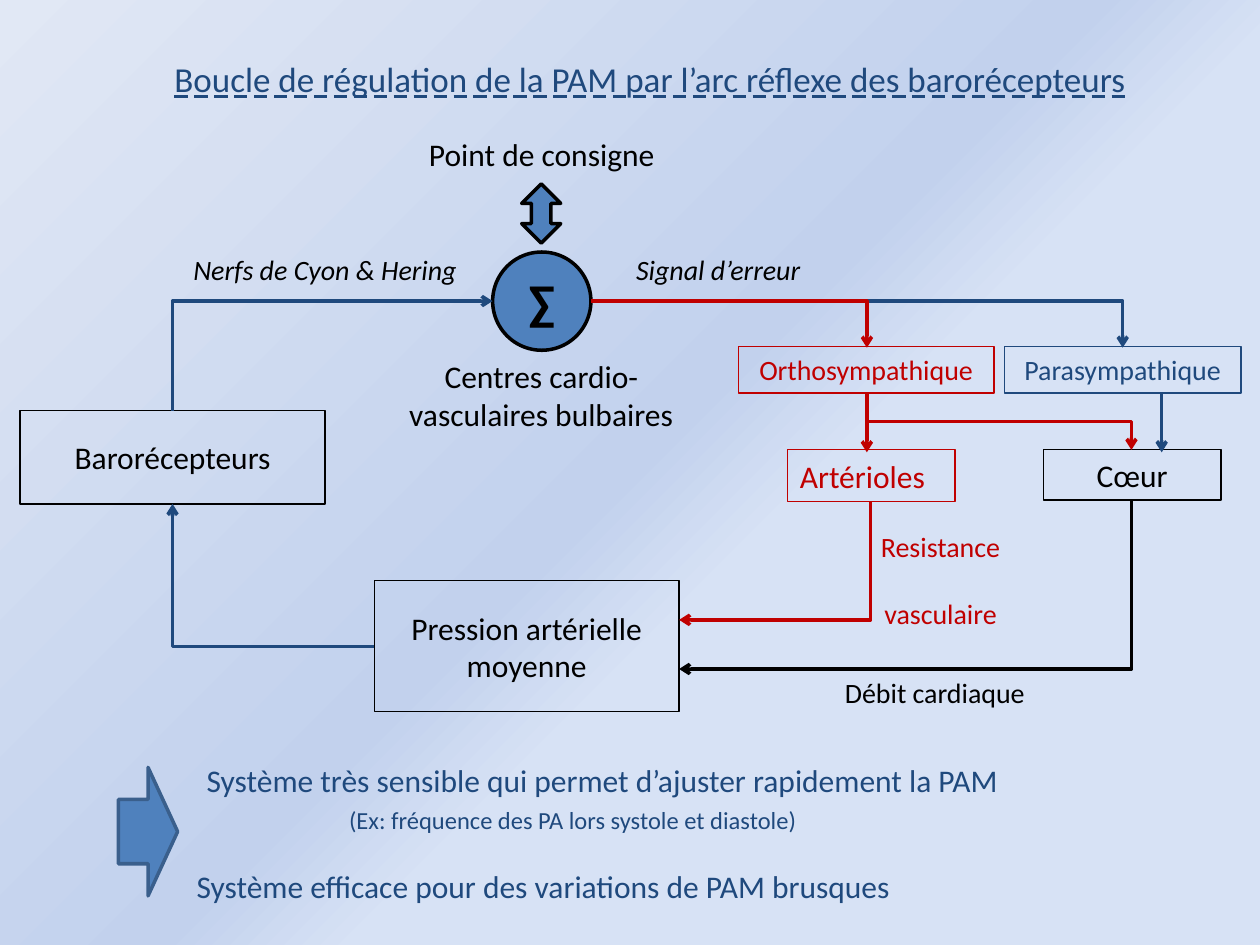
from lxml import etree
from pptx import Presentation
from pptx.dml.color import RGBColor
from pptx.enum.shapes import MSO_CONNECTOR, MSO_SHAPE
from pptx.enum.text import MSO_ANCHOR, MSO_UNDERLINE, PP_ALIGN
from pptx.oxml import parse_xml
from pptx.oxml.ns import nsdecls, qn
from pptx.util import Emu, Pt

COLS, ROWS = 10, 7.5
LEFT, CENTER = PP_ALIGN.LEFT, PP_ALIGN.CENTER
RECT, OVAL = MSO_SHAPE.RECTANGLE, MSO_SHAPE.OVAL
UP_DOWN, RIGHT = MSO_SHAPE.UP_DOWN_ARROW, MSO_SHAPE.RIGHT_ARROW
STRAIGHT, ELBOW = MSO_CONNECTOR.STRAIGHT, MSO_CONNECTOR.ELBOW
COLORS = {"black": "000000", "navy": "1F497D", "red": "C00000",
          "blue": "4F81BD", "edge": "3A5F8C"}
STOPS = [(0, "E1E8F5"), (50, "C2D1ED"), (59, "D7E2F5"), (100, "D7E2F5")]


def write(tf, text, size=18, color="black", align=CENTER, bold=None,
          italic=None, underline=None, before=0, inset=None):
    """Fill a text frame, one paragraph per line of text."""
    tf.word_wrap = True
    tf.vertical_anchor = MSO_ANCHOR.MIDDLE
    if inset is not None:
        tf.margin_left = tf.margin_right = tf.margin_top = tf.margin_bottom = inset
    for i, line in enumerate(text.split("\n")):
        p = tf.add_paragraph() if i else tf.paragraphs[0]
        p.alignment = align
        p.space_before = Pt(before if i else 0)
        r = p.add_run()
        r.text = line
        font = r.font
        font.name, font.size = "Calibri", Pt(size)
        font.bold, font.italic, font.underline = bold, italic, underline
        font.color.rgb = RGBColor.from_string(COLORS[color])


class Diagram:
    """Holds the style, the grid and the current slide."""

    def __init__(self, prs):
        prs.slide_width, prs.slide_height = Emu(9144000), Emu(6858000)
        self.col, self.row = prs.slide_width / COLS, prs.slide_height / ROWS
        self.s = prs.slides.add_slide(prs.slide_layouts[5])

    def scale(self, x, y):
        return Emu(round(x * self.col)), Emu(round(y * self.row))

    def place(self, x, y, w, h):
        return self.scale(x, y) + self.scale(w, h)

    def background(self):
        stops = "".join(f'<a:gs pos="{pos * 1000}"><a:srgbClr val="{c}"/></a:gs>'
                        for pos, c in STOPS)
        bg = parse_xml(f'<p:bg {nsdecls("p", "a")}><p:bgPr><a:gradFill rotWithShape="1">'
                       f'<a:gsLst>{stops}</a:gsLst><a:lin ang="2700000" scaled="0"/>'
                       '</a:gradFill><a:effectLst/></p:bgPr></p:bg>')
        self.s.shapes._spTree.getparent().insert(0, bg)

    def title(self, at, text, **fmt):
        sp = self.s.shapes.title
        sp.left, sp.top, sp.width, sp.height = self.place(*at)
        write(sp.text_frame, text, inset=0, **fmt)

    def label(self, at, text, **fmt):
        sp = self.s.shapes.add_textbox(*self.place(*at))
        write(sp.text_frame, text, **fmt)
        return sp

    def shape(self, kind, at, text="", fill=None, line="black", width=2, **fmt):
        sp = self.s.shapes.add_shape(kind, *self.place(*at))
        sp.shadow.inherit = False
        if fill:
            sp.fill.solid()
            sp.fill.fore_color.rgb = RGBColor.from_string(COLORS[fill])
        else:
            sp.fill.background()
        sp.line.color.rgb = RGBColor.from_string(COLORS[line])
        sp.line.width = Pt(width)
        if text:
            write(sp.text_frame, text, **fmt)

    def box(self, at, text, color="black", **fmt):
        self.shape(RECT, at, text, line=color, width=0.75, color=color, **fmt)

    def arrow(self, start, end, color, bends=0, down_first=False):
        (x1, y1), (x2, y2) = start, end
        if down_first:
            cx, cy, dx, dy = (x1 + x2) / 2, (y1 + y2) / 2, x2 - x1, y2 - y1
            x1, y1, x2, y2 = cx - dy / 2, cy + dx / 2, cx + dy / 2, cy - dx / 2
        c = self.s.shapes.add_connector(ELBOW if bends else STRAIGHT,
                                        *self.scale(x1, y1), *self.scale(x2, y2))
        c.line.color.rgb = RGBColor.from_string(COLORS[color])
        c.line.width = Pt(2)
        pr = c._element.spPr
        if bends:
            pr.find(qn("a:prstGeom")).set("prst", f"bentConnector{bends + 1}")
        if down_first:
            pr.find(qn("a:xfrm")).set("rot", "5400000")
        etree.SubElement(pr.find(qn("a:ln")), qn("a:tailEnd"), type="arrow")
        etree.SubElement(pr, qn("a:effectLst"))


def main():
    prs = Presentation()
    d = Diagram(prs)
    d.background()
    d.title((0.94, 0.39, 8.44, 0.47),
            "Boucle de régulation de la PAM par l’arc réflexe des barorécepteurs",
            size=20, color="navy", underline=MSO_UNDERLINE.DASH_LINE)

    d.shape(OVAL, (3.91, 2, 0.78, 0.78), "∑", fill="blue", size=28, bold=True, inset=0)
    d.shape(UP_DOWN, (4.14, 1.46, 0.31, 0.47), fill="blue")
    d.label((3.05, 1.02, 2.5, 0.4), "Point de consigne")
    d.label((2.89, 2.78, 2.81, 0.71), "Centres cardio-vasculaires bulbaires")
    d.label((1.33, 1.95, 2.5, 0.37), "Nerfs de Cyon & Hering", size=16, italic=True)
    d.label((4.45, 1.95, 2.5, 0.37), "Signal d’erreur", size=16, italic=True)

    d.box((0.16, 3.26, 2.42, 0.74), "Barorécepteurs")
    d.box((2.97, 4.61, 2.42, 1.04), "Pression artérielle moyenne")
    d.box((5.86, 2.75, 2.03, 0.37), "Orthosympathique", "red", size=16)
    d.box((7.97, 2.75, 1.88, 0.37), "Parasympathique", "navy", size=16)
    d.box((6.25, 3.57, 1.33, 0.41), "Artérioles", "red", align=LEFT)
    d.box((8.28, 3.57, 1.41, 0.4), "Cœur")

    d.arrow((1.37, 3.26), (3.91, 2.39), "navy", 1, True)
    d.arrow((2.97, 5.13), (1.37, 4), "navy", 1)
    d.arrow((4.69, 2.39), (8.91, 2.76), "navy", 1)
    d.arrow((4.69, 2.39), (6.88, 2.76), "red", 1)
    d.arrow((6.88, 3.12), (6.88, 3.59), "red")
    d.arrow((6.88, 3.12), (8.98, 3.57), "red", 2, True)
    d.arrow((9.22, 3.12), (9.22, 3.59), "navy")
    d.arrow((6.91, 3.98), (5.39, 4.92), "red", 1, True)
    d.arrow((8.98, 3.98), (5.39, 5.31), "black", 1, True)
    d.label((6.88, 4.14, 1.17, 0.92), "Resistance\nvasculaire",
            size=16, color="red", before=19)
    d.label((6.17, 5.31, 2.5, 0.37), "Débit cardiaque", size=16)

    d.shape(RIGHT, (0.94, 6.09, 0.47, 1.02), fill="blue", line="edge")
    note = dict(color="navy", align=LEFT, inset=0)
    d.label((1.64, 6.04, 6.95, 0.3),
            "Système très sensible qui permet d’ajuster rapidement la PAM", **note)
    d.label((2.77, 6.38, 5.82, 0.25),
            "(Ex: fréquence des PA lors systole et diastole)", size=14, **note)
    d.label((1.56, 6.8, 7.42, 0.47),
            "Système efficace pour des variations de PAM brusques", **note)
    prs.save("out.pptx")


if __name__ == "__main__":
    main()
